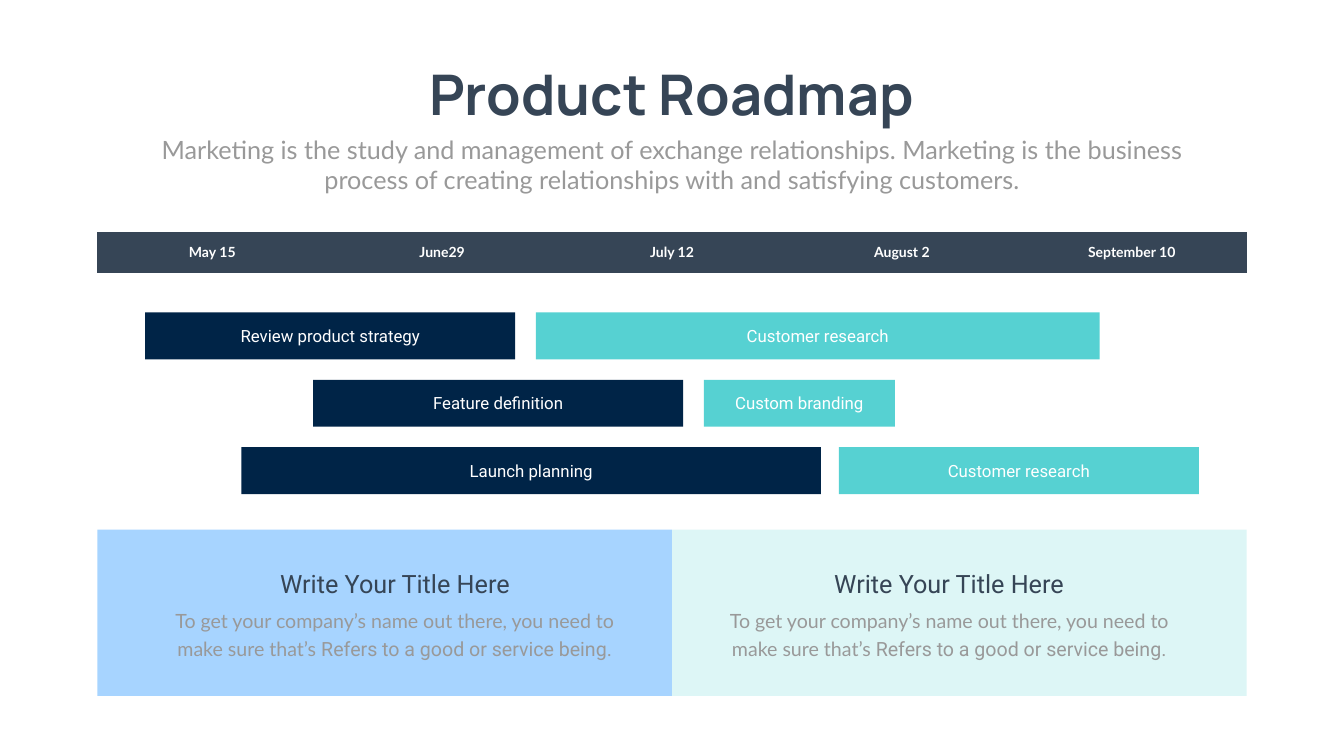
from dataclasses import dataclass

from pptx import Presentation
from pptx.dml.color import RGBColor
from pptx.enum.shapes import MSO_SHAPE
from pptx.enum.text import MSO_ANCHOR as Anchor, MSO_AUTO_SIZE as AutoSize, PP_ALIGN as Align
from pptx.util import Pt

# Colours
SLATE = RGBColor(0x36, 0x45, 0x56)
GREY = RGBColor(0x99, 0x99, 0x99)
WHITE = RGBColor(0xFF, 0xFF, 0xFF)
NAVY = RGBColor(0x00, 0x24, 0x47)
TEAL = RGBColor(0x56, 0xD1, 0xD2)
PALE_BLUE = RGBColor(0xA7, 0xD4, 0xFF)
PALE_TEAL = RGBColor(0xDD, 0xF6, 0xF6)

# Layout, in points
SLIDE_WIDTH, SLIDE_HEIGHT = 1919.52, 1080
MARGIN = 139
CONTENT_WIDTH = 1641.6
TABLE_TOP, HEADER_HEIGHT, ROW_HEIGHT, BODY_ROWS = 332, 57.6, 68.4, 5
BAR_TOP, BAR_HEIGHT, BAR_PITCH = 446.4, 67, 96.2
PANEL_TOP, PANEL_WIDTH, PANEL_HEIGHT = 756.7, CONTENT_WIDTH / 2, 237.6
NO_STYLE_NO_GRID = "{2D5ABB26-0587-4C30-8999-92F81FD0307C}"

DATES = ["May 15", "June29", "July 12", "August 2", "September 10"]
PANEL_HEADING = "Write Your Title Here"
PANEL_TEXT = "To get your company’s name out there, you need to make sure that’s "
PANEL_TEXT_END = "Refers to a good or service being."


@dataclass
class Bar:
    label: str
    row: int
    left: float
    width: float
    color: RGBColor


@dataclass
class Panel:
    left: float
    text_left: float
    heading_left: float
    color: RGBColor


BARS = [
    Bar("Review product strategy", 0, 207.4, 528.5, NAVY),
    Bar("Customer research", 0, 765.4, 805, TEAL),
    Bar("Feature definition", 1, 447.1, 528.5, NAVY),
    Bar("Custom branding", 1, 1005.1, 272.9, TEAL),
    Bar("Launch planning", 2, 344.6, 828, NAVY),
    Bar("Customer research", 2, 1198.1, 514.1, TEAL),
]
PANELS = [
    Panel(MARGIN, 221, 337.7, PALE_BLUE),
    Panel(MARGIN + PANEL_WIDTH, 1013, 1129, PALE_TEAL),
]


def add_text(frame, text, *, font, size, color, bold=False, anchor=Anchor.TOP,
             wrap=True, line_spacing=None):
    """Append a formatted run to the first paragraph of a text frame."""
    frame.auto_size = AutoSize.NONE
    frame.word_wrap = wrap
    frame.vertical_anchor = anchor
    paragraph = frame.paragraphs[0]
    paragraph.alignment = Align.CENTER
    paragraph.space_before = Pt(0)
    if line_spacing:
        paragraph.line_spacing = Pt(line_spacing)
    run = paragraph.add_run()
    run.text = text
    run.font.name, run.font.size, run.font.bold = font, Pt(size), bold
    run.font.color.rgb = color


def place(shape, left: float, top: float, width: float, height: float) -> None:
    shape.left, shape.top = Pt(left), Pt(top)
    shape.width, shape.height = Pt(width), Pt(height)


def add_rectangle(slide, left: float, top: float, width: float, height: float, color: RGBColor):
    shape = slide.shapes.add_shape(MSO_SHAPE.RECTANGLE, Pt(left), Pt(top), Pt(width), Pt(height))
    shape.shadow.inherit = False
    shape.fill.solid()
    shape.fill.fore_color.rgb = color
    shape.line.fill.background()
    return shape


def add_textbox(slide, left: float, top: float, width: float, height: float):
    return slide.shapes.add_textbox(Pt(left), Pt(top), Pt(width), Pt(height)).text_frame


def add_headings(slide) -> None:
    title, subtitle = slide.placeholders
    place(title, 575.3, 80.6, 768.2, 104.4)
    title.text_frame.margin_top = title.text_frame.margin_bottom = 0
    add_text(title.text_frame, "Product Roadmap", font="Manrope", size=80, color=SLATE,
             bold=True, anchor=Anchor.MIDDLE, wrap=False)
    place(subtitle, 210.2, 187.9, 1499, 94.3)
    add_text(subtitle.text_frame,
             "Marketing is the study and management of exchange relationships. Marketing is "
             "the business process of creating relationships with and satisfying customers.",
             font="Lato", size=36, color=GREY)


def add_timeline(slide) -> None:
    frame = slide.shapes.add_table(
        BODY_ROWS + 1, len(DATES), Pt(MARGIN), Pt(TABLE_TOP), Pt(CONTENT_WIDTH),
        Pt(HEADER_HEIGHT + BODY_ROWS * ROW_HEIGHT))
    table = frame.table
    style_id = table._tbl.tblPr.find("{*}tableStyleId")
    style_id.text = NO_STYLE_NO_GRID
    table.horz_banding = False
    for index, row in enumerate(table.rows):
        row.height = Pt(ROW_HEIGHT if index else HEADER_HEIGHT)
        for cell in row.cells:
            cell.fill.solid()
            cell.fill.fore_color.rgb = WHITE if index else SLATE
    for cell, date in zip(table.rows[0].cells, DATES):
        cell.vertical_anchor = Anchor.MIDDLE
        paragraph = cell.text_frame.paragraphs[0]
        paragraph.alignment = Align.CENTER
        run = paragraph.add_run()
        run.text = date
        run.font.name, run.font.size, run.font.bold = "Lato", Pt(20), True
        run.font.color.rgb = WHITE


def add_bar(slide, bar: Bar) -> None:
    top = BAR_TOP + bar.row * BAR_PITCH
    shape = add_rectangle(slide, bar.left, top, bar.width, BAR_HEIGHT, bar.color)
    add_text(shape.text_frame, bar.label, font="Roboto", size=24, color=WHITE,
             anchor=Anchor.MIDDLE)


def add_panel(slide, panel: Panel) -> None:
    add_rectangle(slide, panel.left, PANEL_TOP, PANEL_WIDTH, PANEL_HEIGHT, panel.color)
    body = add_textbox(slide, panel.text_left, 859, 685.4, 86.4)
    for text, font in ((PANEL_TEXT, "Lato"), (PANEL_TEXT_END, "Roboto")):
        add_text(body, text, font=font, size=28, color=GREY, line_spacing=40.8)
    heading = add_textbox(slide, panel.heading_left, 807.8, 452.9, 51.1)
    add_text(heading, PANEL_HEADING, font="Roboto", size=36, color=SLATE)


def main() -> None:
    presentation = Presentation()
    presentation.slide_width, presentation.slide_height = Pt(SLIDE_WIDTH), Pt(SLIDE_HEIGHT)
    slide = presentation.slides.add_slide(presentation.slide_layouts[0])
    add_headings(slide)
    add_timeline(slide)
    for panel in PANELS:
        add_panel(slide, panel)
    for bar in BARS:
        add_bar(slide, bar)
    presentation.save("out.pptx")


if __name__ == "__main__":
    main()
